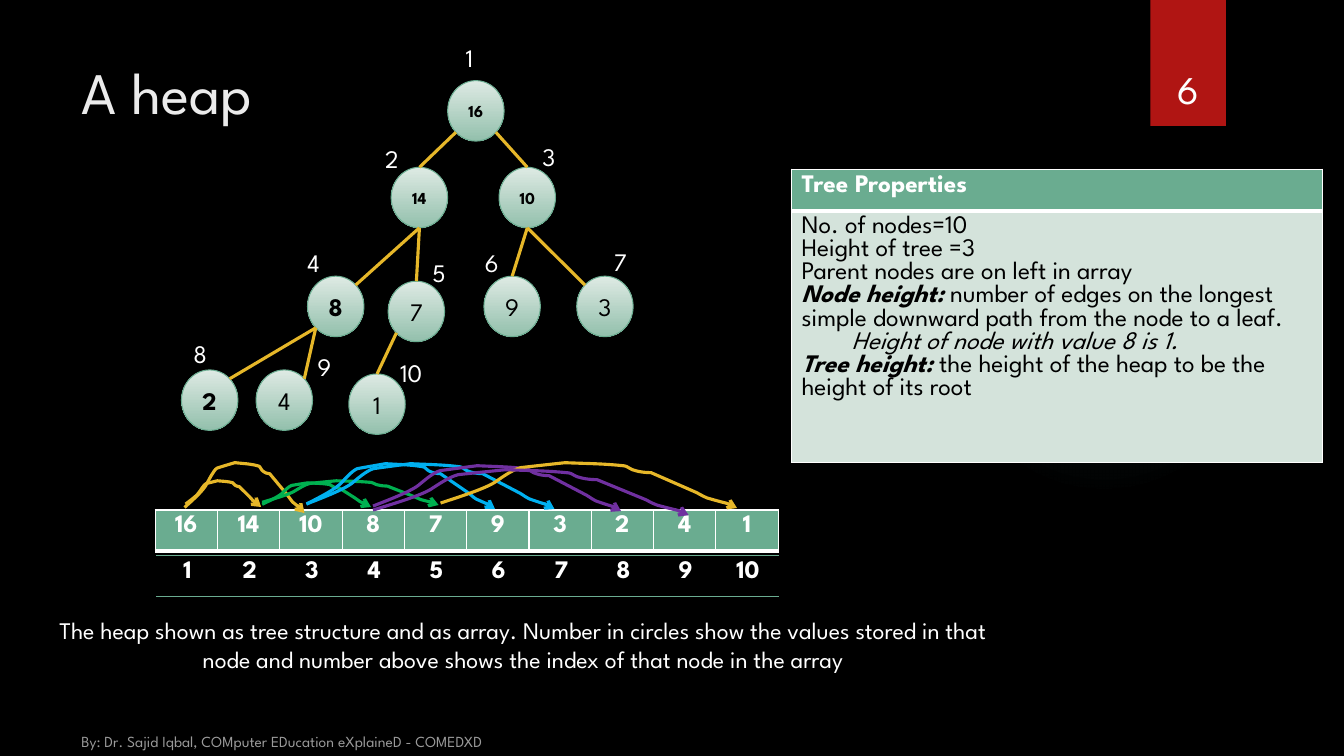
from dataclasses import dataclass
from math import cos, pi, sin

from lxml.etree import SubElement
from pptx import Presentation
from pptx.dml.color import RGBColor
from pptx.enum.shapes import MSO_CONNECTOR as Connector, MSO_SHAPE as Preset
from pptx.enum.text import MSO_ANCHOR as Anchor, PP_ALIGN as Align
from pptx.oxml import parse_xml
from pptx.oxml.ns import nsdecls, qn
from pptx.util import Inches, Pt


@dataclass(frozen=True)
class Theme:
    font: str = "League Spartan"
    black: str = "000000"
    white: str = "FFFFFF"
    title: str = "EBEBEB"
    footer: str = "999999"
    red: str = "B01513"
    glow: str = "50B9C1"
    green: str = "6AAC90"
    pale: str = "D4E3DB"
    node_top: str = "DEEAE4"
    node_bottom: str = "93C0AC"
    gold: str = "E6B729"
    leaf: str = "00B050"
    sky: str = "00B0F0"
    purple: str = "7030A0"
    title_size: float = 42
    number_size: float = 28
    text_size: float = 18
    caption_size: float = 17
    small_size: float = 12
    footer_size: float = 11
    stroke: float = 2.25


THEME = Theme()

# Compass points on a node, as angles clockwise from the right
TOP, BOTTOM = -pi / 2, pi / 2
UPPER_LEFT, UPPER_RIGHT = -3 * pi / 4, -pi / 4
LOWER_LEFT, LOWER_RIGHT = 3 * pi / 4, pi / 4
NODE_W, NODE_H = 0.56, 0.6

# Value, size, bold, node left and top, index left and top, edge start and end
NODES = [
    ("16", THEME.small_size, True, 2.64, 0.43, 2.72, 0, None, None),
    ("14", THEME.small_size, True, 2.08, 1.29, 1.92, 1, LOWER_LEFT, TOP),
    ("10", THEME.small_size, True, 3.15, 1.29, 3.48, 0.98, LOWER_RIGHT, TOP),
    ("8", THEME.text_size, True, 1.25, 2.37, 1.15, 2.03, BOTTOM, UPPER_RIGHT),
    ("7", THEME.text_size, False, 2.05, 2.42, 2.39, 2.13, BOTTOM, TOP),
    ("9", THEME.text_size, False, 3, 2.37, 2.91, 2.03, BOTTOM, TOP),
    ("3", THEME.text_size, False, 3.92, 2.37, 4.19, 2.02, BOTTOM, UPPER_LEFT),
    ("2", THEME.text_size, True, 0, 3.3, 0.02, 2.94, LOWER_LEFT, UPPER_RIGHT),
    ("4", THEME.text_size, False, 0.74, 3.3, 1.25, 3.07, LOWER_LEFT, UPPER_RIGHT),
    ("1", THEME.text_size, False, 1.66, 3.34, 2.07, 3.13, LOWER_LEFT, TOP),
]

# Parent-to-child arcs: left, top, width, height, relative to the array
ARCS = [
    (0.3, -0.29, 0.75, 0.26, THEME.gold), (0.29, -0.47, 1.19, 0.5, THEME.gold),
    (1.06, -0.27, 1.08, 0.24, THEME.leaf), (1.06, -0.29, 1.75, 0.24, THEME.leaf),
    (1.5, -0.46, 1.87, 0.45, THEME.sky), (1.5, -0.46, 2.46, 0.45, THEME.sky),
    (2.16, -0.44, 2.46, 0.45, THEME.purple), (2.83, -0.47, 2.94, 0.45, THEME.gold),
    (2.16, -0.4, 3.13, 0.45, THEME.purple),
]
# Segments of one arc in a unit box: two controls and an end, or an end alone
ARC_START = (0, 0.89)
ARC_SEGMENTS = [
    ((0.05, 0.78), (0.16, 0.56), (0.19, 0.4)), ((0.2, 0.36), (0.24, 0.16), (0.27, 0.11)),
    ((0.32, 0.07), (0.42, 0), (0.42, 0)), ((0.49, 0.02), (0.55, 0.02), (0.62, 0.07)),
    ((0.63, 0.07), (0.64, 0.16), (0.66, 0.18)), ((0.67, 0.2), (0.69, 0.22), (0.71, 0.22)),
    ((0.85, 0.62),), ((0.87, 0.67), (0.88, 0.73), (0.9, 0.78)),
    ((0.98, 0.93), (0.95, 0.84), (1, 1)),
]


def color(code):
    return RGBColor.from_string(code)


def write(para, text, size=THEME.text_size, fill=THEME.white, bold=False,
          italic=False, align=None):
    span = para.add_run()
    span.text = text
    font = span.font
    font.name, font.size, font.bold, font.italic = THEME.font, Pt(size), bold, italic
    font.color.rgb = color(fill)
    if align is not None:
        para.alignment = align


def add_text(page, box, text, anchor=Anchor.TOP, **style):
    frame = page.shapes.add_textbox(*map(Inches, box)).text_frame
    frame.word_wrap = True
    frame.vertical_anchor = anchor
    write(frame.paragraphs[0], text, **style)


def add_plain(page, preset, box):
    shape = page.shapes.add_shape(preset, *map(Inches, box))
    shape.shadow.inherit = False
    shape.line.fill.background()
    return shape


def add_backdrop(page):
    page.background.fill.solid()
    page.background.fill.fore_color.rgb = color(THEME.black)
    glow = add_plain(page, Preset.OVAL, (9.41, 1.83, 3.08, 3.08))
    stops = "".join(
        f'<a:gs pos="{pos}000"><a:srgbClr val="{THEME.glow}">'
        f'<a:alpha val="{alpha}000"/></a:srgbClr></a:gs>'
        for pos, alpha in ((0, 7), (36, 6), (69, 0)))
    glow._element.spPr.find(qn("a:prstGeom")).addnext(parse_xml(
        f'<a:gradFill {nsdecls("a")}><a:gsLst>{stops}</a:gsLst><a:path path="circle">'
        '<a:fillToRect l="50000" t="50000" r="50000" b="50000"/></a:path></a:gradFill>'))
    ribbon = add_plain(page, Preset.RECTANGLE, (11.41, 0, 0.75, 1.25))
    ribbon.fill.solid()
    ribbon.fill.fore_color.rgb = color(THEME.red)
    add_text(page, (11.32, 0.32, 0.92, 0.84), "6", Anchor.BOTTOM,
             size=THEME.number_size, align=Align.CENTER)
    add_text(page, (0.71, 7.17, 4.22, 0.33),
             "By: Dr. Sajid Iqbal, COMputer EDucation eXplaineD - COMEDXD", Anchor.BOTTOM,
             size=THEME.footer_size, fill=THEME.footer)


def add_title(page, box, text):
    title = page.shapes.title
    title.left, title.top, title.width, title.height = map(Inches, box)
    title.text_frame.vertical_anchor = Anchor.TOP
    write(title.text_frame.paragraphs[0], text, size=THEME.title_size,
          fill=THEME.title, align=Align.LEFT)


def add_tree(page, left, top):
    def rim(node, angle):
        x, y = node[3:5]
        return (Inches(left + x + NODE_W / 2 * (1 + cos(angle))),
                Inches(top + y + NODE_H / 2 * (1 + sin(angle))))

    for index, node in enumerate(NODES, 1):
        value, size, bold, x, y, label_x, label_y, start, end = node
        oval = add_plain(page, Preset.OVAL, (left + x, top + y, NODE_W, NODE_H))
        oval.fill.gradient()
        oval.fill.gradient_angle = 270
        for stop, code in zip(oval.fill.gradient_stops, (THEME.node_top, THEME.node_bottom)):
            stop.color.rgb = color(code)
        oval.line.color.rgb, oval.line.width = color(THEME.green), Pt(0.75)
        frame = oval.text_frame
        frame.margin_left = frame.margin_right = 0
        frame.vertical_anchor = Anchor.MIDDLE
        write(frame.paragraphs[0], value, size=size, bold=bold,
              fill=THEME.black, align=Align.CENTER)
        add_text(page, (left + label_x, top + label_y, 0.52 if index > 9 else 0.32, 0.4),
                 str(index))
        if index > 1:
            parent = NODES[index // 2 - 1]
            edge = page.shapes.add_connector(Connector.STRAIGHT, *rim(parent, start),
                                             *rim(node, end))
            edge.line.color.rgb, edge.line.width = color(THEME.gold), Pt(THEME.stroke)
            SubElement(edge._element.spPr, qn("a:effectLst"))


def set_borders(cell, **sides):
    """Each side is a colour and a width; a missing side has no line."""
    properties = cell._tc.get_or_add_tcPr()
    for place, side in enumerate("LRTB"):
        code, width = sides.get(side, (None, 0))
        paint = f'<a:solidFill><a:srgbClr val="{code}"/></a:solidFill>' if code else "<a:noFill/>"
        properties.insert(place, parse_xml(
            f'<a:ln{side} {nsdecls("a")} w="{Pt(width)}">{paint}</a:ln{side}>'))


def add_grid(page, box, rows, columns):
    table = page.shapes.add_table(rows, columns, *map(Inches, box)).table
    table.first_row = table.horz_banding = False
    return table


def add_row(page, box, values, fill, **borders):
    table = add_grid(page, box, 1, len(values))
    for cell, value in zip(table.iter_cells(), values):
        if fill:
            cell.fill.solid()
            cell.fill.fore_color.rgb = color(fill)
        else:
            cell.fill.background()
        set_borders(cell, **borders)
        write(cell.text_frame.paragraphs[0], value, bold=True, align=Align.CENTER)


def add_arc(page, left, top, width, height, code):
    def place(point, x=left, y=top):
        return Inches(x + point[0] * width), Inches(y + point[1] * height)

    builder = page.shapes.build_freeform(*place(ARC_START))
    builder.add_line_segments([place(segment[-1]) for segment in ARC_SEGMENTS], close=False)
    arc = builder.convert_to_shape()
    # Bend the straight segments that have control points
    for step, segment in zip(list(arc._element.iter(qn("a:lnTo"))), ARC_SEGMENTS):
        if len(segment) == 3:
            step.tag = qn("a:cubicBezTo")
            for spot, control in enumerate(segment[:2]):
                x, y = place(control, 0, 0)
                step.insert(spot, parse_xml(f'<a:pt {nsdecls("a")} x="{x}" y="{y}"/>'))
    arc.shadow.inherit = False
    arc.fill.background()
    arc.line.color.rgb, arc.line.width = color(code), Pt(THEME.stroke)
    SubElement(arc._element.spPr.find(qn("a:ln")), qn("a:tailEnd"), type="arrow")


def add_array(page, left, top):
    line = (THEME.white, 1)
    add_row(page, (left, top, 6.18, 0.41), [node[0] for node in NODES], THEME.green,
            L=line, R=line, T=line, B=(THEME.white, 3))
    rule = (THEME.green, 1)
    add_row(page, (left + 0.01, top + 0.45, 6.18, 0.41),
            [str(index) for index in range(1, len(NODES) + 1)], None, T=rule, B=rule)
    for x, y, width, height, code in ARCS:
        add_arc(page, left + x, top + y, width, height, code)


def add_properties(page, box):
    table = add_grid(page, box, 2, 1)
    header, body = table.iter_cells()
    table.rows[0].height = Inches(0.41)
    table.rows[1].height = Inches(box[3] - 0.41)
    line, thick = (THEME.white, 1), (THEME.white, 3)
    for cell, code, upper, lower in ((header, THEME.green, line, thick),
                                     (body, THEME.pale, thick, line)):
        cell.fill.solid()
        cell.fill.fore_color.rgb = color(code)
        set_borders(cell, L=line, R=line, T=upper, B=lower)
    write(header.text_frame.paragraphs[0], "Tree Properties", bold=True)
    # Term, definition, whether it is an indented example
    lines = [
        ("", "No. of nodes=10", False),
        ("", "Height of tree =3", False),
        ("", "Parent nodes are on left in array", False),
        ("Node height: ", "number of edges on the longest simple downward path "
         "from the node to a leaf.", False),
        ("", "Height of node with value 8 is 1.", True),
        ("Tree height: ", "the height of the heap to be the height of its root", False),
    ]
    frame = body.text_frame
    for place, (term, text, example) in enumerate(lines):
        para = frame.add_paragraph() if place else frame.paragraphs[0]
        if example:
            para.level = 1
            para._p.get_or_add_pPr().set("marL", str(Inches(0.5)))
        if term:
            write(para, term, fill=THEME.black, bold=True, italic=True)
        write(para, text, fill=THEME.black, italic=example)


def main():
    deck = Presentation()
    deck.slide_width, deck.slide_height = Inches(13.33), Inches(7.5)
    page = deck.slides.add_slide(deck.slide_layouts[5])
    add_backdrop(page)
    add_title(page, (0.71, 0.5, 10.29, 1.53), "A heap")
    add_tree(page, 1.8, 0.37)
    add_array(page, 1.54, 5.06)
    add_text(page, (0.3, 6.06, 9.78, 0.82),
             "The heap shown as tree structure and as array. Number in circles show the values "
             "stored in that node and number above shows the index of that node in the array",
             size=THEME.caption_size, align=Align.CENTER)
    add_properties(page, (7.85, 1.68, 5.27, 2.91))
    deck.save("out.pptx")


if __name__ == "__main__":
    main()
